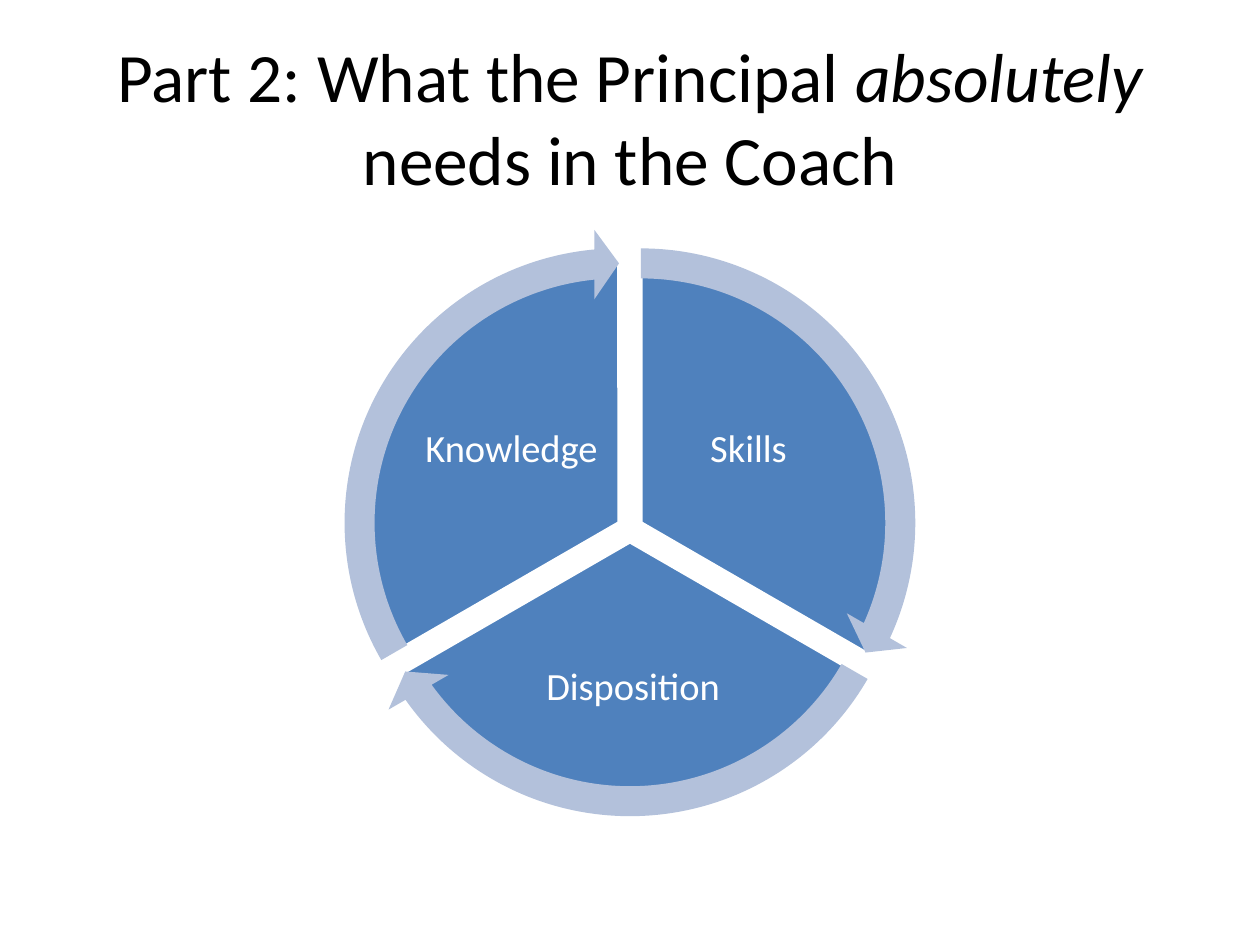
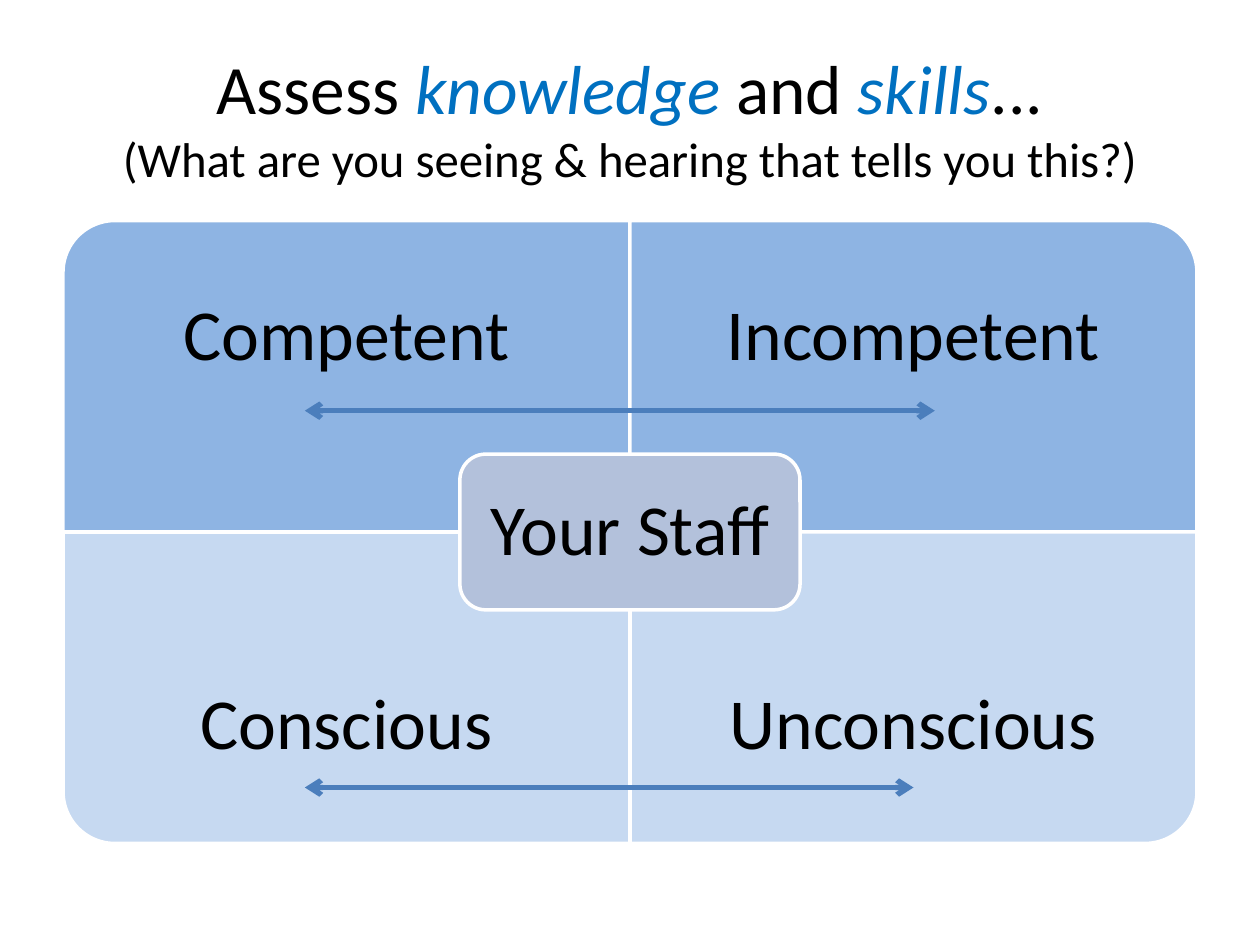
"""Build two slides on what a principal needs in a coach and how to assess staff."""
import math
from dataclasses import dataclass

import pptx
import pptx.dml.color
import pptx.enum.shapes
import pptx.enum.text
import pptx.oxml
import pptx.oxml.ns
import pptx.util

Pt = pptx.util.Pt
SHAPE = pptx.enum.shapes.MSO_SHAPE


@dataclass(frozen=True)
class Theme:
    font: str = "Calibri"
    ink: str = "000000"
    paper: str = "FFFFFF"
    accent: str = "0070C0"
    slice: str = "4F81BD"
    pale: str = "B3C1DB"
    upper: str = "8EB4E3"
    lower: str = "C6D9F1"
    arrow: str = "4B7EBC"
    title_size: float = 39.6
    subtitle_size: float = 27.9
    slice_size: float = 22
    quadrant_size: float = 41
    outline: float = 2
    arrow_width: float = 3


THEME = Theme()
EMPHASIS = {"italic": True, "color": THEME.accent}

COACH_TITLE = [
    ("Part 2: What the Principal ", {}),
    ("absolutely ", {"italic": True}),
    ("needs in the Coach", {}),
]
NEEDS = [
    ("Skills", 270, (374.4, 212.4, 106.6, 89.3)),
    ("Disposition", 30, (281.5, 354.2, 160.6, 78.5)),
    ("Knowledge", 150, (239, 212.4, 106.6, 89.3)),
]

STAFF_TITLE = [
    ("Assess ", {}),
    ("knowledge", EMPHASIS),
    (" and ", {}),
    ("skills", EMPHASIS),
    ("...\n", {}),
    ("(What are you seeing & hearing that tells you this?)", {"size": THEME.subtitle_size}),
]
STAFF = "Your Staff"
QUADRANTS = [
    [("Competent", 270), ("Incompetent", 0)],
    [("Conscious", 180), ("Unconscious", 90)],
]
ROW_FILLS = [THEME.upper, THEME.lower]
SCALES = [(174.2, 534.2, 234.7), (174.2, 522, 450)]

TITLE_BOX = (36, 21.6, 648, 90)
WHEEL_CENTER = (360, 302.4)
SLICE_SHIFT = 7.2
SLICE_DIAMETER = 299.5
RING_DIAMETER = 336.2
SWEEP = 120
ANGLE_UNIT = 0.6
ARROWHEAD = 3.275
GRID_LEFT, GRID_TOP = 36, 126
CELL_WIDTH, CELL_HEIGHT = 324, 178


def rgb(color):
    return pptx.dml.color.RGBColor.from_string(color)


def centered(x, y, width, height):
    return x - width / 2, y - height / 2, width, height


def write(slide, text, box, *, size, color=THEME.ink, inset=None, spacing=None):
    """Write a string, or (string, format) runs, centred in a box."""
    frame = slide.shapes.add_textbox(*map(Pt, box)).text_frame
    frame.word_wrap = True
    frame.vertical_anchor = pptx.enum.text.MSO_ANCHOR.MIDDLE
    if inset is not None:
        frame.margin_left = frame.margin_right = Pt(inset)
        frame.margin_top = frame.margin_bottom = Pt(inset)
    paragraph = frame.paragraphs[0]
    paragraph.alignment = pptx.enum.text.PP_ALIGN.CENTER
    if spacing:
        paragraph.line_spacing = spacing
    for words, style in [(text, {})] if isinstance(text, str) else text:
        run = paragraph.add_run()
        run.text = words.rstrip("\n")
        run.font.name = THEME.font
        run.font.size = Pt(style.get("size", size))
        run.font.italic = style.get("italic", False)
        run.font.color.rgb = rgb(style.get("color", color))
        if words.endswith("\n"):
            paragraph.add_line_break()


def draw(slide, kind, box, fill, *, adjustments=(), rotation=0, outlined=True):
    shape = slide.shapes.add_shape(kind, *map(Pt, box))
    shape.shadow.inherit = False
    shape.rotation = rotation
    for index, value in enumerate(adjustments):
        shape.adjustments[index] = value
    shape.fill.solid()
    shape.fill.fore_color.rgb = rgb(fill)
    if outlined:
        shape.line.color.rgb = rgb(THEME.paper)
        shape.line.width = Pt(THEME.outline)
    else:
        shape.line.fill.background()


def double_arrow(slide, start, end, y):
    scale = slide.shapes.add_connector(
        pptx.enum.shapes.MSO_CONNECTOR.STRAIGHT, Pt(start), Pt(y), Pt(end), Pt(y))
    scale.line.color.rgb = rgb(THEME.arrow)
    scale.line.width = Pt(THEME.arrow_width)
    properties = scale._element.spPr
    outline = properties.find(pptx.oxml.ns.qn("a:ln"))
    namespace = pptx.oxml.ns.nsdecls("a")
    for tip in ("headEnd", "tailEnd"):
        outline.append(pptx.oxml.parse_xml(f'<a:{tip} {namespace} type="arrow"/>'))
    properties.append(pptx.oxml.parse_xml(f"<a:effectLst {namespace}/>"))


def titled_slide(deck, title):
    slide = deck.slides.add_slide(deck.slide_layouts[6])
    write(slide, title, TITLE_BOX, size=THEME.title_size)
    return slide


def coach_slide(deck):
    slide = titled_slide(deck, COACH_TITLE)
    rings = []
    for need, start, label_box in NEEDS:
        middle = math.radians(start + SWEEP / 2)
        x = WHEEL_CENTER[0] + SLICE_SHIFT * math.cos(middle)
        y = WHEEL_CENTER[1] + SLICE_SHIFT * math.sin(middle)
        first = start * ANGLE_UNIT
        last = (start + SWEEP) % 360 * ANGLE_UNIT
        draw(slide, SHAPE.PIE, centered(x, y, SLICE_DIAMETER, SLICE_DIAMETER),
             THEME.slice, adjustments=(first, last))
        write(slide, need, label_box, size=THEME.slice_size, color=THEME.paper,
              inset=2.2, spacing=0.9)
        rings.append((centered(x, y, RING_DIAMETER, RING_DIAMETER),
                      (0.051, ARROWHEAD, last - ARROWHEAD, first, 0.059)))
    for box, adjustments in rings:
        draw(slide, SHAPE.CIRCULAR_ARROW, box, THEME.pale,
             adjustments=adjustments, outlined=False)


def staff_slide(deck):
    slide = titled_slide(deck, STAFF_TITLE)
    label_height = CELL_HEIGHT * 0.75
    for row, (quadrants, fill) in enumerate(zip(QUADRANTS, ROW_FILLS)):
        top = GRID_TOP + row * CELL_HEIGHT
        label_top = top + row * (CELL_HEIGHT - label_height)
        for column, (quadrant, rotation) in enumerate(quadrants):
            left = GRID_LEFT + column * CELL_WIDTH
            size = (CELL_WIDTH, CELL_HEIGHT)
            if rotation % 180:
                size = size[::-1]
            box = centered(left + CELL_WIDTH / 2, top + CELL_HEIGHT / 2, *size)
            draw(slide, SHAPE.ROUND_1_RECTANGLE, box, fill, rotation=rotation)
            write(slide, quadrant, (left, label_top, CELL_WIDTH, label_height),
                  size=THEME.quadrant_size, inset=23, spacing=0.9)

    center = (GRID_LEFT + CELL_WIDTH, GRID_TOP + CELL_HEIGHT)
    width, height = CELL_WIDTH * 0.6, CELL_HEIGHT / 2
    draw(slide, SHAPE.ROUNDED_RECTANGLE, centered(*center, width, height), THEME.pale)
    write(slide, STAFF, centered(*center, width - 8.6, height - 8.6),
          size=THEME.quadrant_size, inset=12.2, spacing=0.9)
    for scale in SCALES:
        double_arrow(slide, *scale)


def main():
    deck = pptx.Presentation()
    deck.slide_width, deck.slide_height = Pt(720), Pt(540)
    coach_slide(deck)
    staff_slide(deck)
    deck.save("out.pptx")


if __name__ == "__main__":
    main()
